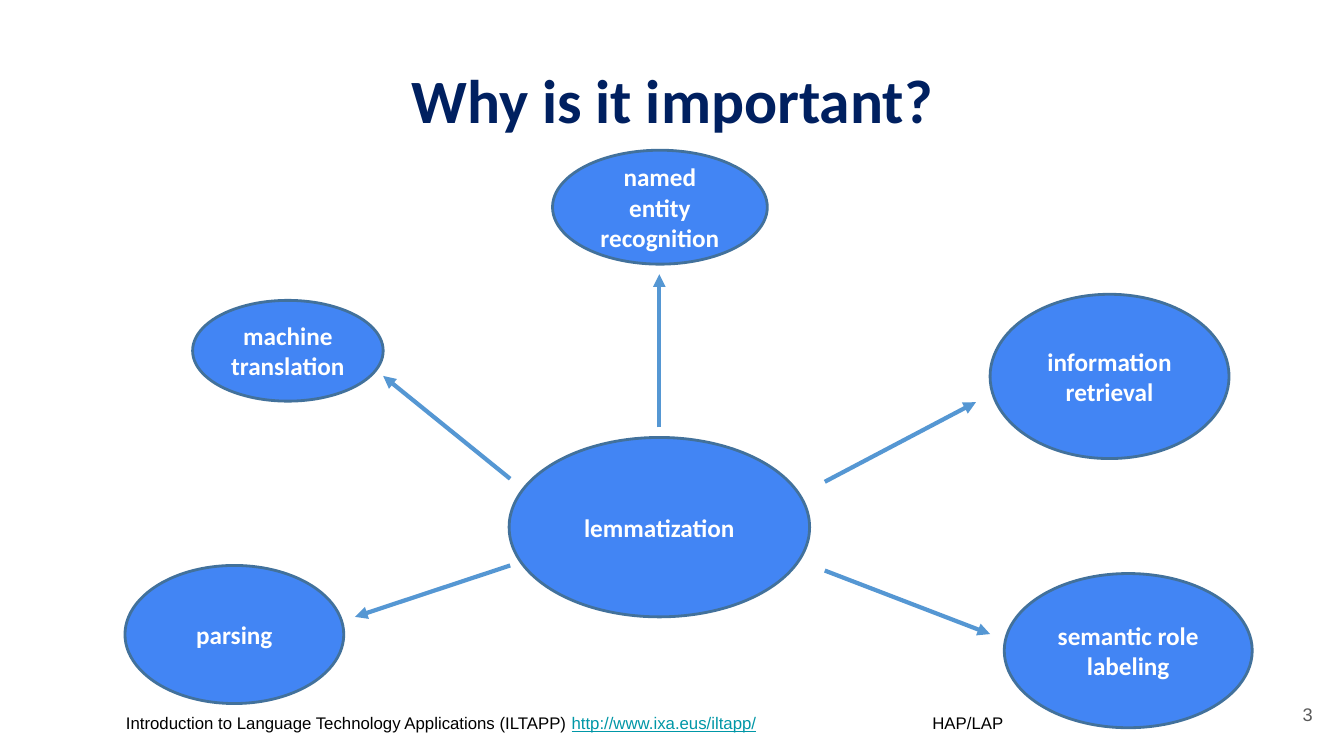
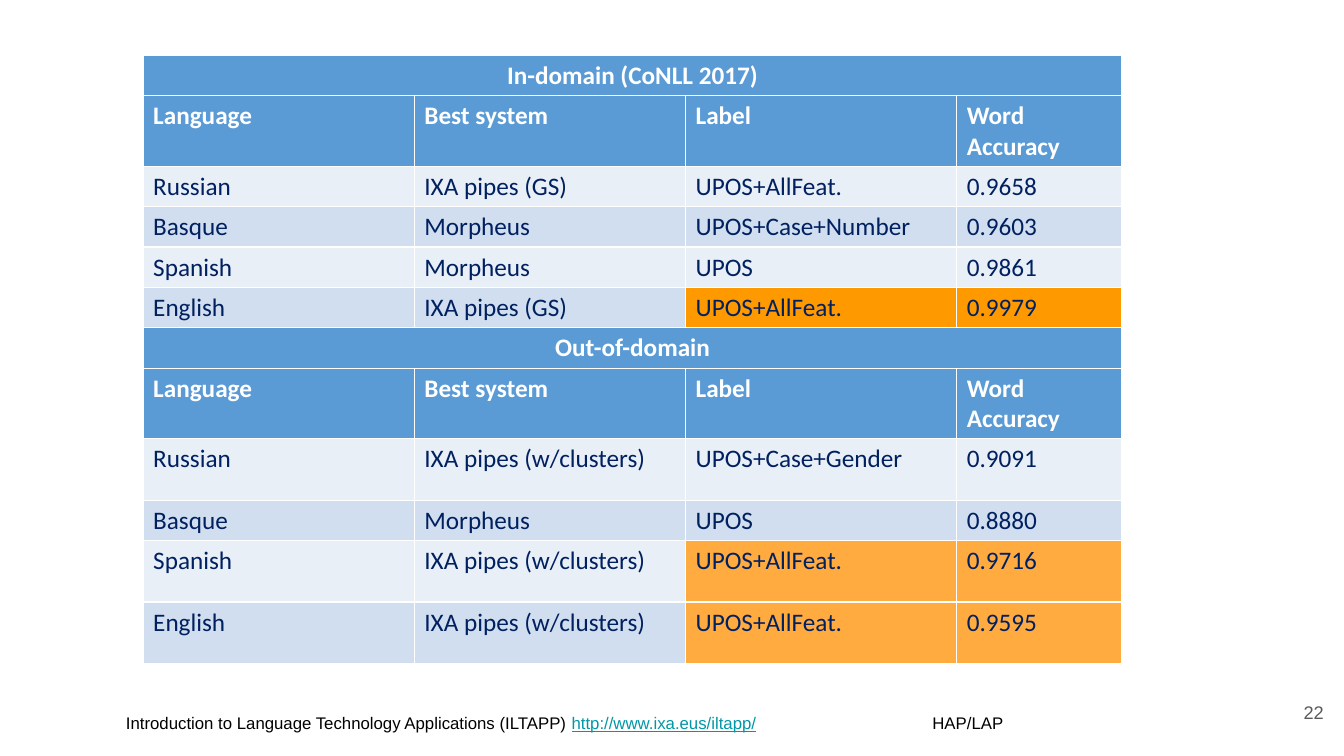
from dataclasses import dataclass

from lxml.etree import SubElement
from pptx import Presentation
from pptx.dml.color import RGBColor
from pptx.enum.shapes import MSO_CONNECTOR, MSO_SHAPE
from pptx.enum.text import MSO_ANCHOR, PP_ALIGN
from pptx.oxml.ns import qn
from pptx.util import Emu, Inches, Pt

COLORS = {
    "navy": "002060", "white": "FFFFFF", "black": "000000", "link": "0097A7",
    "gray": "595959", "oval": "4285F4", "outline": "42719B", "arrow": "5597D3",
    "header": "5B9BD5", "light": "E9EFF7", "dark": "D1DEEF",
    "orange": "FF9900", "amber": "FFAB40",
}
FONTS = {
    "title": {"name": "Calibri", "size": Pt(44), "bold": True},
    "strong": {"name": "Calibri", "size": Pt(18), "bold": True},
    "plain": {"name": "Calibri", "size": Pt(18), "bold": False},
    "footer": {"name": "Arial", "size": Pt(12)},
    "link": {"name": "Arial", "size": Pt(12), "underline": True},
    "number": {"name": "Arial", "size": Pt(13)},
}
MIDDLE = {"word_wrap": True, "vertical_anchor": MSO_ANCHOR.MIDDLE}
WIDE_MARGINS = {f"margin_{side}": Inches(0.13)
                for side in ("left", "top", "right", "bottom")}

TOPICS = [
    ("lemmatization", (37.88, 57.87, 22.36, 23.73)),
    ("machine translation", (14.33, 39.73, 14.18, 13.33)),
    ("named entity recognition", (41.11, 19.87, 15.98, 15.07)),
    ("information retrieval", (73.67, 38.93, 17.78, 21.73)),
    ("parsing", (9.3, 74.8, 16.28, 18.27)),
    ("semantic role labeling", (74.72, 75.87, 18.45, 20.4)),
]
ARROWS = [
    ((37.96, 63.33), (28.51, 49.73)),
    ((49.06, 56.53), (49.06, 36.27)),
    ((61.37, 63.73), (72.62, 53.2)),
    ((37.96, 74.8), (26.41, 81.6)),
    ((61.37, 75.47), (73.67, 83.87)),
]
HEADINGS = ("Language", "Best system", "Label", "Word Accuracy")
SECTIONS = [
    ("In-domain (CoNLL 2017)", "orange", ("English",), [
        ("Russian", "IXA pipes (GS)", "UPOS+AllFeat.", "0.9658"),
        ("Basque", "Morpheus", "UPOS+Case+Number", "0.9603"),
        ("Spanish", "Morpheus", "UPOS", "0.9861"),
        ("English", "IXA pipes (GS)", "UPOS+AllFeat.", "0.9979"),
    ]),
    ("Out-of-domain", "amber", ("Spanish", "English"), [
        ("Russian", "IXA pipes (w/clusters)", "UPOS+Case+Gender", "0.9091"),
        ("Basque", "Morpheus", "UPOS", "0.8880"),
        ("Spanish", "IXA pipes (w/clusters)", "UPOS+AllFeat.", "0.9716"),
        ("English", "IXA pipes (w/clusters)", "UPOS+AllFeat.", "0.9595"),
    ]),
]
COLUMN_SHARES = (20.18, 20.18, 20.18, 12.3)
ROW_SHARES = {"single": 4.8, "heading": 8.4, "clusters": 8.13}


@dataclass
class Box:
    left: int
    top: int
    width: int
    height: int

    def across(self, share):
        return Emu(round(self.width * share / 100))

    def down(self, share):
        return Emu(round(self.height * share / 100))

    def point(self, column, row):
        return self.left + self.across(column), self.top + self.down(row)

    def area(self, column, row, columns, rows):
        return (*self.point(column, row), self.across(columns), self.down(rows))


def color(name):
    return RGBColor.from_string(COLORS[name])


def apply(target, values):
    for name, value in values.items():
        setattr(target, name, value)


def paint(fill, name):
    fill.solid()
    fill.fore_color.rgb = color(name)


def write(para, text, font, shade, align=None):
    span = para.add_run()
    span.text = text
    apply(span.font, FONTS[font])
    span.font.color.rgb = color(shade)
    if align is not None:
        para.alignment = align


def add_title(page, box, text):
    title = page.shapes.title
    apply(title, dict(zip(("left", "top", "width", "height"),
                          box.area(6.9, 4, 86.27, 19.33))))
    apply(title.text_frame, MIDDLE)
    para = title.text_frame.paragraphs[0]
    para.line_spacing = 0.9
    write(para, text, "title", "navy", PP_ALIGN.CENTER)


def add_footer(page, box):
    frame = page.shapes.add_textbox(*box.area(8.4, 92.93, 82.45, 6.27)).text_frame
    apply(frame, {"word_wrap": True, **WIDE_MARGINS})
    para = frame.paragraphs[0]
    tabs = SubElement(para._p.get_or_add_pPr(), qn("a:tabLst"))
    SubElement(tabs, qn("a:tab"), pos=str(box.across(60)), algn="l")
    write(para, "Introduction to Language Technology Applications (ILTAPP) ",
          "footer", "black")
    write(para, "http://www.ixa.eus/iltapp/", "link", "link")
    write(para, "\tHAP/LAP", "footer", "black")


def add_number(page, box, number, column, row):
    frame = page.shapes.add_textbox(*box.area(column, row, 6, 7.6)).text_frame
    apply(frame, {**MIDDLE, **WIDE_MARGINS})
    write(frame.paragraphs[0], number, "number", "gray", PP_ALIGN.RIGHT)


def add_oval(page, box, text, place):
    oval = page.shapes.add_shape(MSO_SHAPE.OVAL, *box.area(*place))
    oval.shadow.inherit = False
    paint(oval.fill, "oval")
    paint(oval.line.fill, "outline")
    oval.line.width = Pt(2)
    apply(oval.text_frame, MIDDLE)
    write(oval.text_frame.paragraphs[0], text, "strong", "white", PP_ALIGN.CENTER)


def add_arrow(page, box, start, end):
    arrow = page.shapes.add_connector(
        MSO_CONNECTOR.STRAIGHT, *box.point(*start), *box.point(*end))
    paint(arrow.line.fill, "arrow")
    arrow.line.width = Pt(3)
    properties = arrow._element.spPr
    SubElement(properties.find(qn("a:ln")), qn("a:tailEnd"), type="triangle")
    SubElement(properties, qn("a:effectLst"))


def add_topic_map(page, box):
    for text, place in TOPICS:
        add_oval(page, box, text, place)
    for start, end in ARROWS:
        add_arrow(page, box, start, end)


def fill_cell(cell, text, shade, heading=False, align=None):
    properties = cell._tc.get_or_add_tcPr()
    for edge in ("a:lnL", "a:lnR", "a:lnT", "a:lnB"):
        line = SubElement(properties, qn(edge), w=str(Pt(0.96)))
        solid = SubElement(line, qn("a:solidFill"))
        SubElement(solid, qn("a:srgbClr"), val=COLORS["white"])
    paint(cell.fill, shade)
    if text:
        write(cell.text_frame.paragraphs[0], text,
              "strong" if heading else "plain",
              "white" if heading else "navy", align)


def table_rows():
    for name, accent, winners, results in SECTIONS:
        yield "single", (name, "", "", ""), ("header",) * 4
        yield "heading", HEADINGS, ("header",) * 4
        for index, result in enumerate(results):
            band = "dark" if index % 2 else "light"
            mark = accent if result[0] in winners else band
            size = "clusters" if "clusters" in result[1] else "single"
            yield size, result, (band, band, mark, mark)


def add_results(page, box):
    rows = list(table_rows())
    height = sum(ROW_SHARES[size] for size, _, _ in rows)
    place = box.area(10.65, 7.33, sum(COLUMN_SHARES), height)
    table = page.shapes.add_table(len(rows), len(COLUMN_SHARES), *place).table
    apply(table, {"first_row": False, "horz_banding": False})
    for column, share in zip(table.columns, COLUMN_SHARES):
        column.width = box.across(share)
    for index, (size, texts, shades) in enumerate(rows):
        table.rows[index].height = box.down(ROW_SHARES[size])
        section = not texts[1]
        for column, (text, shade) in enumerate(zip(texts, shades)):
            fill_cell(table.cell(index, column), text, shade, shade == "header",
                      PP_ALIGN.CENTER if section else None)
        if section:
            table.cell(index, 0).merge(table.cell(index, len(texts) - 1))


def build_map_slide(deck, box):
    page = deck.slides.add_slide(deck.slide_layouts[5])
    add_footer(page, box)
    add_topic_map(page, box)
    add_title(page, box, "Why is it important?")
    add_number(page, box, "3", 92.65, 90.67)


def build_results_slide(deck, box):
    page = deck.slides.add_slide(deck.slide_layouts[6])
    add_footer(page, box)
    add_results(page, box)
    add_number(page, box, "22", 93.47, 90.4)


def main():
    deck = Presentation()
    apply(deck, {"slide_width": Inches(13.33), "slide_height": Inches(7.5)})
    box = Box(0, 0, deck.slide_width, deck.slide_height)
    build_map_slide(deck, box)
    build_results_slide(deck, box)
    deck.save("out.pptx")


if __name__ == "__main__":
    main()
